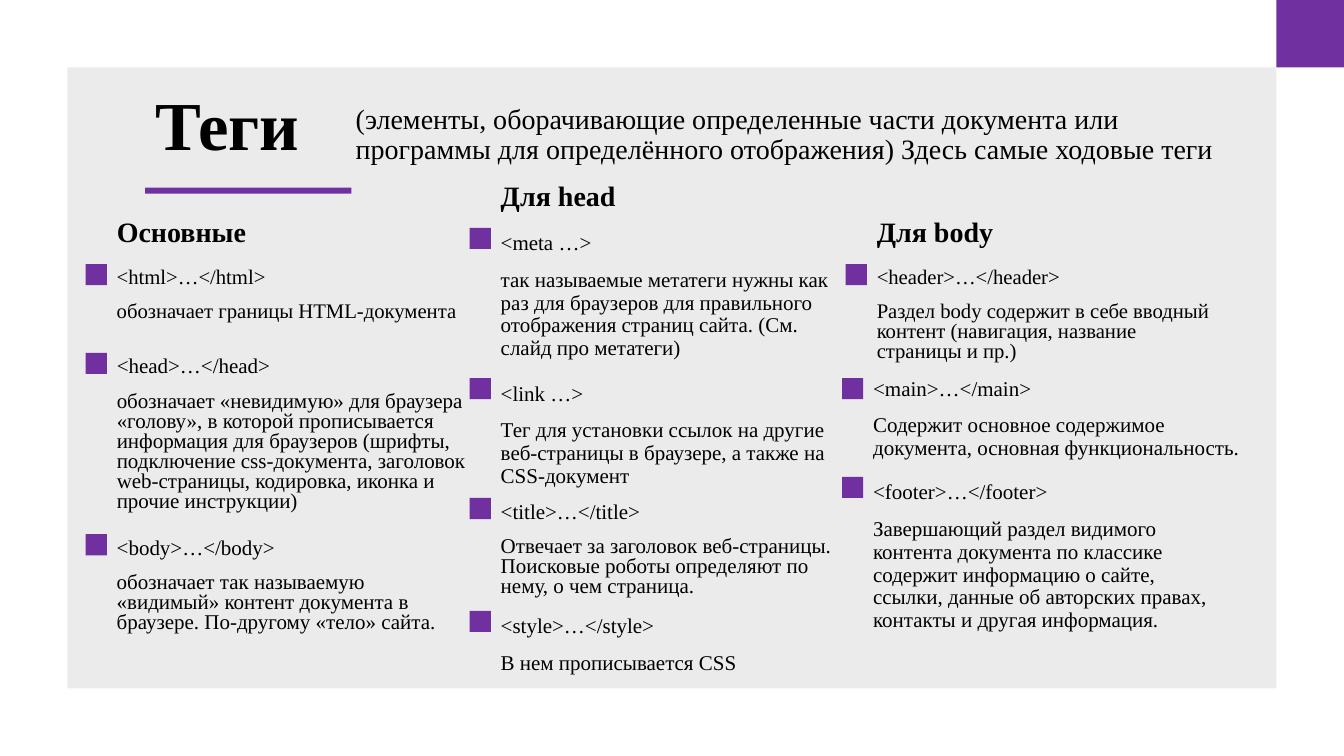
import pptx
import pptx.dml.color
import pptx.enum.shapes
import pptx.enum.text
import pptx.oxml.ns
import pptx.util
from lxml import etree

Pt = pptx.util.Pt
ANCHOR = pptx.enum.text.MSO_ANCHOR
PURPLE = pptx.dml.color.RGBColor(0x70, 0x30, 0xA0)
GREY = pptx.dml.color.RGBColor(0xD9, 0xD9, 0xD9)
BLACK = pptx.dml.color.RGBColor(0, 0, 0)
FONT = "Times New Roman"
MARKER = 15.1

prs = pptx.Presentation()
prs.slide_width, prs.slide_height = Pt(960), Pt(540)
s = prs.slides.add_slide(prs.slide_layouts[6])


def add_rect(x, y, w, h, color):
    sp = s.shapes.add_shape(pptx.enum.shapes.MSO_SHAPE.RECTANGLE, Pt(x), Pt(y), Pt(w), Pt(h))
    sp.shadow.inherit = False
    sp.fill.solid()
    sp.fill.fore_color.rgb = color
    sp.line.fill.background()
    return sp


def add_text(x, y, w, h, lines, size, spacing=0.9, bold=False, anchor=ANCHOR.BOTTOM):
    tf = s.shapes.add_textbox(Pt(x), Pt(y), Pt(w), Pt(h)).text_frame
    tf.word_wrap = True
    tf.vertical_anchor = anchor
    for i, line in enumerate(lines):
        p = tf.add_paragraph() if i else tf.paragraphs[0]
        p.text = line
        p.line_spacing = spacing
        p.space_before = Pt(10 if i else 0)
        font = p.runs[0].font
        font.name, font.size, font.bold = FONT, Pt(size), bold
        font.color.rgb = BLACK


# Background panel, corner square and title
panel = add_rect(48.2, 48.2, 863.5, 443.5, GREY)
panel_color = panel.fill._xPr.find(".//" + pptx.oxml.ns.qn("a:srgbClr"))
etree.SubElement(panel_color, pptx.oxml.ns.qn("a:alpha"), val="50000")
add_rect(911.7, 0, 48.3, 48.2, PURPLE)
add_rect(103.7, 134, 147.4, 4.3, PURPLE)
add_text(103.7, 49, 122.4, 72.7, ["Теги"], 49, bold=True)
add_text(247, 70.6, 643.7, 51.1,
         ["(элементы, оборачивающие определенные части документа или программы "
          "для определённого отображения) Здесь самые ходовые теги"], 20)

# Column headings: left, top, width, text
headings = [
    (76.3, 151.2, 111.6, "Основные"),
    (350.6, 125.3, 128.2, "Для head"),
    (619.2, 151.2, 111.6, "Для body"),
]
for x, y, w, heading in headings:
    add_text(x, y, w, 30.2, [heading], 20, bold=True)

# Tags: left, marker top, text top, width, height, size, line spacing, tag, description
tags = [
    (76.3, 188.6, 188.6, 260, 63.4, 14.8, 0.8, "<html>…</html>",
     "обозначает границы HTML-документа"),
    (76.3, 252, 252, 267.8, 130.3, 15, 0.8, "<head>…</head>",
     "обозначает «невидимую» для браузера «голову», в которой прописывается "
     "информация для браузеров (шрифты, подключение css-документа, заголовок "
     "web-страницы, кодировка, иконка и прочие инструкции)"),
    (76.3, 381.6, 381.6, 260, 80.6, 15, 0.8, "<body>…</body>",
     "обозначает так называемую «видимый» контент документа в браузере. "
     "По-другому «тело» сайта."),
    (350.6, 162.7, 162.7, 252.7, 107.3, 15, 0.9, "<meta …>",
     "так называемые метатеги нужны как раз для браузеров для правильного "
     "отображения страниц сайта. (См. слайд про метатеги)"),
    (350.6, 270, 270, 252.7, 85.7, 15, 0.9, "<link …>",
     "Тег для установки ссылок на другие веб-страницы в браузере, "
     "а также на CSS-документ"),
    (350.6, 355.7, 355.7, 252.7, 80.6, 15, 0.8, "<title>…</title>",
     "Отвечает за заголовок веб-страницы. Поисковые роботы определяют по нему, "
     "о чем страница."),
    (350.6, 436.3, 436.3, 252.7, 51.8, 15, 0.9, "<style>…</style>",
     "В нем прописывается CSS"),
    (619.2, 188.6, 188.6, 260, 82.1, 14.8, 0.8, "<header>…</header>",
     "Раздел body содержит в себе вводный контент (навигация, название "
     "страницы и пр.)"),
    (616.6, 270, 266.4, 281.5, 85, 15, 0.9, "<main>…</main>",
     "Содержит основное содержимое документа, основная функциональность."),
    (616.6, 340.6, 340.6, 260, 121.7, 15, 0.9, "<footer>…</footer>",
     "Завершающий раздел видимого контента документа по классике содержит "
     "информацию о сайте, ссылки, данные об авторских правах, контакты "
     "и другая информация."),
]
for x, marker_y, y, w, h, size, spacing, tag, description in tags:
    add_text(x, y, w, h, [tag, description], size, spacing, anchor=ANCHOR.TOP)
    add_rect(x - MARKER, marker_y, MARKER, MARKER, PURPLE)

prs.save("out.pptx")
